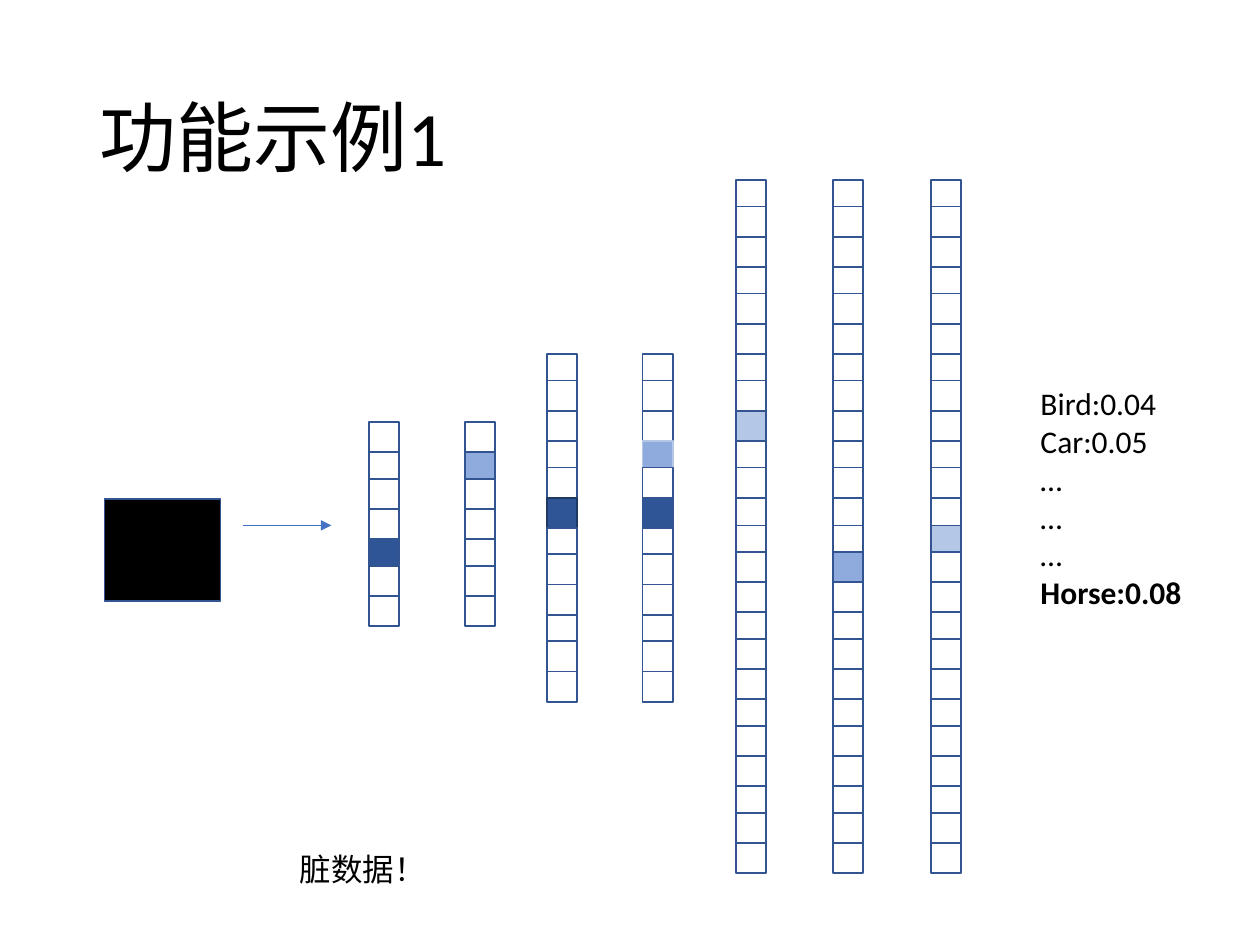
import pptx
import pptx.dml.color
import pptx.enum.shapes
import pptx.enum.text
import pptx.oxml.ns
import pptx.util
from lxml import etree

FONT = "Calibri"
WHITE, BLACK, EDGE = "FFFFFF", "000000", "325491"
DARK, MID, PALE, NAVY = "2F5597", "8FAADC", "B4C7E7", "203864"
CELL = 0.24
OVERLAP = 0.03  # every third cell, counted from the second, sits this much higher

# left, top, cell count, phase in the overlap cycle, {cell: (fill, line)}
STACKS = [
    (4.34, 2.81, 12, 0, {5: (DARK, NAVY)}),
    (5.10, 2.81, 12, 0, {3: (MID, PALE), 5: (DARK, EDGE)}),
    (5.84, 1.43, 12, 0, {8: (PALE, EDGE)}),
    (5.84, 4.17, 12, 0, {}),
    (6.61, 1.43, 12, 0, {}),
    (6.61, 4.17, 12, 0, {1: (MID, EDGE)}),
    (7.39, 1.43, 12, 0, {}),
    (7.39, 4.17, 12, 0, {0: (PALE, EDGE)}),
    (3.69, 3.35, 7, 2, {1: (MID, EDGE)}),
    (2.93, 3.35, 7, 2, {4: (DARK, EDGE)}),
]
SCORES = ["Bird:0.04", "Car:0.05", "…", "…", "…", "Horse:0.08"]


def inches(*values):
    return [pptx.util.Inches(v) for v in values]


def color(value):
    return pptx.dml.color.RGBColor.from_string(value)


def write(tf, lines, size=18, bold_line=None, spacing=None):
    """Fill a text frame, one paragraph a line."""
    tf.word_wrap = True
    for i, line in enumerate(lines):
        p = tf.paragraphs[0] if i == 0 else tf.add_paragraph()
        p.alignment = pptx.enum.text.PP_ALIGN.LEFT
        if spacing:
            p.line_spacing = spacing
        r = p.add_run()
        r.text = line
        r.font.name = FONT
        r.font.size = pptx.util.Pt(size)
        r.font.color.rgb = color(BLACK)
        if i == bold_line:
            r.font.bold = True


def add_title(s, text):
    sp = s.shapes.title
    sp.left, sp.top, sp.width, sp.height = inches(0.69, 0.4, 8.62, 1.45)
    write(sp.text_frame, [text], size=44, spacing=0.9)
    sp.text_frame.vertical_anchor = pptx.enum.text.MSO_ANCHOR.MIDDLE


def add_text(s, box, lines, **fmt):
    write(s.shapes.add_textbox(*inches(*box)).text_frame, lines, **fmt)


def add_rect(s, box, fill, line=EDGE):
    sp = s.shapes.add_shape(pptx.enum.shapes.MSO_SHAPE.RECTANGLE, *inches(*box))
    sp.shadow.inherit = False
    sp.fill.solid()
    sp.fill.fore_color.rgb = color(fill)
    sp.line.color.rgb = color(line)
    sp.line.width = pptx.util.Pt(1)


def cell_offset(i):
    return CELL * i - OVERLAP * ((i + 2) // 3)


def add_stack(s, left, top, count, phase, marked):
    """Draw a column of cells, colouring the marked ones."""
    for i in range(count):
        y = top + cell_offset(i + phase) - cell_offset(phase)
        fill, line = marked.get(i, (WHITE, EDGE))
        add_rect(s, (left, y, CELL, CELL), fill, line)


def add_arrow(s, x1, y1, x2, y2):
    kind = pptx.enum.shapes.MSO_CONNECTOR.STRAIGHT
    cx = s.shapes.add_connector(kind, *inches(x1, y1, x2, y2))
    cx.line.color.rgb = color("4472C4")
    cx.line.width = pptx.util.Pt(0.5)
    qn = pptx.oxml.ns.qn
    etree.SubElement(cx.line._get_or_add_ln(), qn("a:tailEnd"), type="triangle")
    etree.SubElement(cx._element.spPr, qn("a:effectLst"))


def main():
    prs = pptx.Presentation()
    prs.slide_width, prs.slide_height = inches(10, 7.5)
    s = prs.slides.add_slide(prs.slide_layouts[5])
    add_title(s, "功能示例1")
    for stack in STACKS:
        add_stack(s, *stack)
    add_arrow(s, 1.93, 4.17, 2.63, 4.17)
    add_text(s, (8.16, 3, 1.74, 1.92), SCORES, bold_line=len(SCORES) - 1)
    add_rect(s, (0.83, 3.96, 0.92, 0.81), BLACK)
    add_text(s, (2.28, 6.7, 1.64, 0.4), ["脏数据！"])
    prs.save("out.pptx")


if __name__ == "__main__":
    main()
